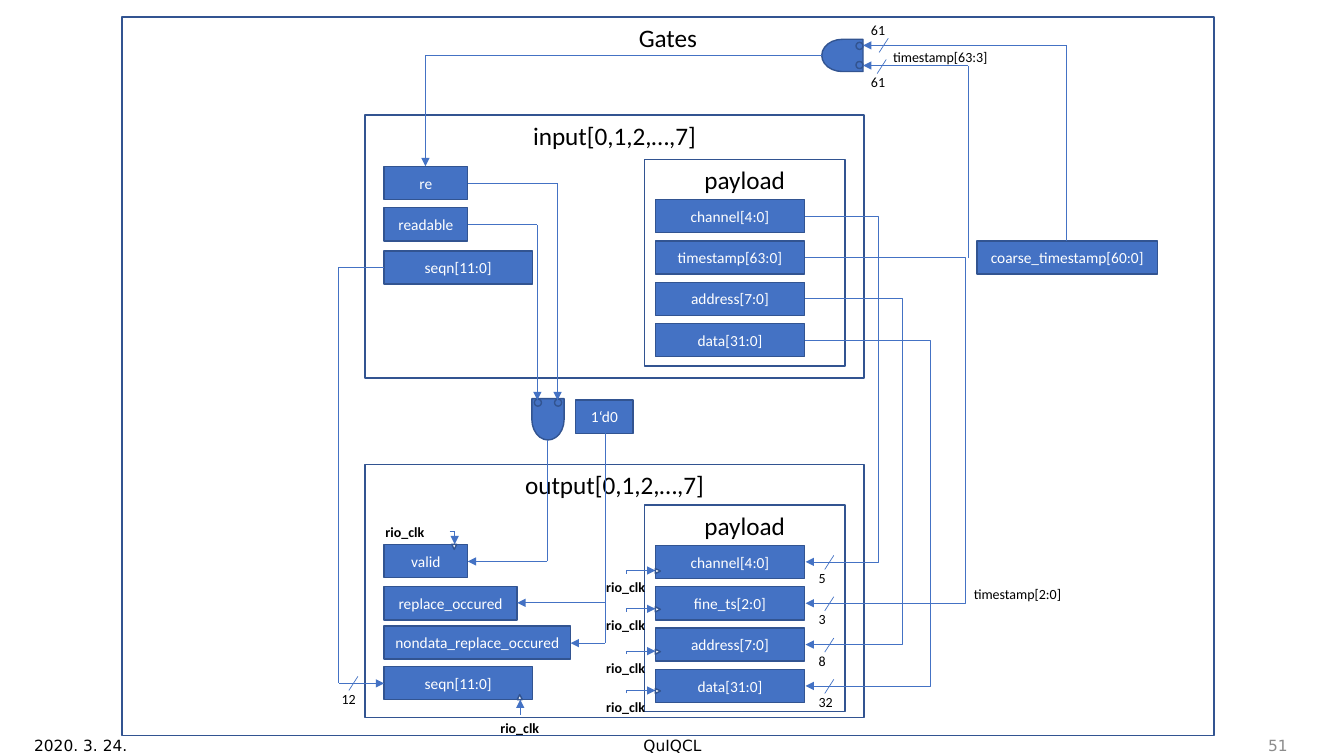
import pptx
import pptx.util
import pptx.dml.color
import pptx.enum.shapes
import pptx.enum.text
import pptx.oxml
import pptx.oxml.ns

KIND = pptx.enum.shapes.MSO_SHAPE
LINK = pptx.enum.shapes.MSO_CONNECTOR
ALIGN = pptx.enum.text.PP_ALIGN
ANCHOR = pptx.enum.text.MSO_ANCHOR
BLUE, EDGE, BLACK, WHITE, GREY = "4472C4", "325491", "000000", "FFFFFF", "8C8C8C"
NS = 'xmlns:a="http://schemas.openxmlformats.org/drawingml/2006/main"'
ROW, TALL = 0.41, 0.33  # register pitch and height
RIGHT = 3  # connection site on a register
inch = pptx.util.Inches


def tint(code):
    return pptx.dml.color.RGBColor.from_string(code)


def write(shape, text, size, color, align, anchor, bold=False, font="Calibri"):
    frame = shape.text_frame
    frame.text = text
    frame.vertical_anchor = anchor
    para = frame.paragraphs[0]
    para.alignment = align
    face = para.runs[0].font
    face.name, face.size, face.bold = font, pptx.util.Pt(size), bold
    face.color.rgb = tint(color)


def draw(slide, kind, box, fill=None, turn=0):
    shape = slide.shapes.add_shape(kind, *map(inch, box))
    shape.shadow.inherit = False
    shape.rotation = turn
    if fill:
        shape.fill.solid()
        shape.fill.fore_color.rgb = tint(fill)
    else:
        shape.fill.background()
    edge(shape)
    return shape


def edge(shape):
    shape.line.color.rgb = tint(EDGE)
    shape.line.width = pptx.util.Pt(1)


def cell(slide, text, x, y, wide):
    shape = draw(slide, KIND.RECTANGLE, (x, y, wide, TALL), BLUE)
    shape.text_frame.word_wrap = False
    write(shape, text, 11, WHITE, ALIGN.CENTER, ANCHOR.MIDDLE)
    return shape


def frame(slide, text, box):
    shape = draw(slide, KIND.RECTANGLE, box)
    write(shape, text, 18, BLACK, ALIGN.CENTER, ANCHOR.TOP)


def label(slide, text, box, size=10, color=BLACK, align=ALIGN.LEFT,
          anchor=ANCHOR.TOP, wrap=False, bold=False, font="Calibri"):
    shape = slide.shapes.add_textbox(*map(inch, box))
    shape.text_frame.word_wrap = wrap
    write(shape, text, size, color, align, anchor, bold, font)


def join(slide, kind, start, end):
    leg = slide.shapes.add_connector(kind, *map(inch, start + end))
    leg.line.color.rgb = tint(BLUE)
    leg.line.width = pptx.util.Pt(0.5)
    leg._element.spPr.append(pptx.oxml.parse_xml(f"<a:effectLst {NS}/>"))
    return leg


def point(leg):
    leg.line._get_or_add_ln().append(
        pptx.oxml.parse_xml(f'<a:tailEnd {NS} type="triangle"/>'))


def wire(slide, *points, arrow=True):
    """Join the points by straight legs, with an arrowhead on the last."""
    for start, end in zip(points, points[1:]):
        leg = join(slide, LINK.STRAIGHT, start, end)
    if arrow:
        point(leg)


def loop(slide, first, last, turn):
    """Elbow from the right of one register, out to turn, to another's."""
    leg = join(slide, LINK.ELBOW, (0, 0), (1, 1))
    leg.begin_connect(first, RIGHT)
    leg.end_connect(last, RIGHT)
    leg.end_x += inch(0.01)
    share = (inch(turn) - leg.begin_x) * 100000 // (leg.end_x - leg.begin_x)
    shape = leg._element.spPr.find(pptx.oxml.ns.qn("a:prstGeom"))
    shape.find(pptx.oxml.ns.qn("a:avLst")).append(pptx.oxml.parse_xml(
        f'<a:gd {NS} name="adj1" fmla="val {share}"/>'))
    point(leg)


def width(slide, text, x, y, place):
    """Slash across a bus, with its bit count."""
    wire(slide, (x + 0.09, y), (x, y + 0.14), arrow=False)
    label(slide, text, place + (0.19 + 0.08 * len(text), 0.27))


def clock(slide, place, tip, turn, *points):
    label(slide, "rio_clk", place + (0.89, 0.27), align=ALIGN.CENTER,
          wrap=True, bold=True)
    wire(slide, *points)
    draw(slide, KIND.ISOSCELES_TRIANGLE, tip + (0.05, 0.05), WHITE, turn)


def gate(slide, x, y, turn, pins):
    draw(slide, KIND.FLOWCHART_DELAY, (x, y, 0.41, 0.32), BLUE, turn)
    for left, top in pins:
        draw(slide, KIND.OVAL, (left, top, 0.07, 0.07), BLUE, turn)


def payload(slide, x, y, names):
    frame(slide, "payload", (x, y, 1.99, 2.05))
    return [cell(slide, name, x + 0.11, y + 0.4 + ROW * row, 1.48)
            for row, name in enumerate(names)]


def bank(slide, title, box, cells, names, drop):
    """Register bank: cells as (name, offset down, width), and a payload."""
    x, y = box[:2]
    frame(slide, title, box)
    for name, down, wide in cells:
        cell(slide, name, x + 0.19, y + down, wide)
    return payload(slide, x + 2.77, y + drop, names)


def buses(slide, source, sink):
    # Payload links from input to output
    for row, (turn, bits) in enumerate(
            [(8.72, "5"), (9.6, "3"), (8.97, "8"), (9.25, "32")]):
        loop(slide, source[row], sink[row], turn)
        low = 5.58 + ROW * row
        width(slide, bits, 8.18, low - 0.07, (8.02, low + 0.02))
    # Sequence number
    wire(slide, (3.81, 2.65), (3.36, 2.65), (3.36, 6.78), (3.81, 6.78))
    width(slide, "12", 3.46, 6.71, (3.29, 6.8))
    # Timestamp comparison
    wire(slide, (9.6, 2.56), (9.6, 0.65), (8.56, 0.65))
    wire(slide, (10.58, 2.39), (10.58, 0.45), (8.56, 0.45))
    width(slide, "61", 8.7, 0.59, (8.54, 0.68))
    width(slide, "61", 8.72, 0.38, (8.54, 0.16))
    label(slide, "timestamp[63:3]", (8.76, 0.43, 1.16, 0.27))
    label(slide, "timestamp[2:0]", (9.56, 5.76, 1.09, 0.27))


def logic(slide):
    gate(slide, 8.15, 0.39, 180, [(8.49, 0.42), (8.49, 0.61)])
    gate(slide, 5.23, 4, 90, [(5.3, 3.96), (5.5, 3.96)])
    cell(slide, "coarse_timestamp[60:0]", 9.69, 2.39, 1.79)
    cell(slide, "1‘d0", 5.71, 3.97, 0.57)
    for path in [
            ((4.64, 2.23), (5.33, 2.23), (5.33, 3.97)),
            ((4.64, 1.82), (5.53, 1.82), (5.53, 3.97)),
            ((8.15, 0.55), (4.22, 0.55), (4.22, 1.65)),
            ((5.43, 4.37), (5.43, 5.57), (4.64, 5.57)),
            ((6, 4.3), (6, 5.98), (5.13, 5.98)),
            ((6, 5.98), (6, 6.38), (5.66, 6.38))]:
        wire(slide, *path)


def clocks(slide):
    for y in (5.69, 6.07, 6.49, 6.88):
        clock(slide, (5.76, y), (6.5, y - 0.05), 90,
              (6.21, y), (6.21, y - 0.03), (6.5, y - 0.03))
    clock(slide, (3.57, 5.14), (4.48, 5.4), 180,
          (4.46, 5.27), (4.51, 5.27), (4.51, 5.4))
    clock(slide, (4.71, 7.09), (5.13, 6.89), 0, (5.16, 7.09), (5.16, 6.94))


def footer(slide):
    for text, x, wide, color, align in [
            ("2020. 3. 24.", 0.24, 3, BLACK, ALIGN.LEFT),
            ("QuIQCL", 4.42, 4.5, BLACK, ALIGN.CENTER),
            ("51", 9.87, 3, GREY, ALIGN.RIGHT)]:
        label(slide, text, (x, 7.19, wide, 0.4), 11, color, align,
              ANCHOR.MIDDLE, True, font="DejaVu Sans")


def main():
    deck = pptx.Presentation()
    deck.slide_width, deck.slide_height = inch(13.33), inch(7.5)
    slide = deck.slides.add_slide(deck.slide_layouts[5])
    # Title doubles as the outer frame
    title = slide.shapes.title
    title.left, title.top, title.width, title.height = map(
        inch, (1.21, 0.17, 10.83, 7.13))
    write(title, "Gates", 18, BLACK, ALIGN.CENTER, ANCHOR.TOP)
    title.text_frame.auto_size = pptx.enum.text.MSO_AUTO_SIZE.NONE
    edge(title)
    # Register banks
    source = bank(
        slide, "input[0,1,2,…,7]", (3.62, 1.14, 4.95, 2.61),
        [("re", 0.51, 0.83), ("readable", 0.92, 0.83), ("seqn[11:0]", 1.35, 1.47)],
        ["channel[4:0]", "timestamp[63:0]", "address[7:0]", "data[31:0]"], 0.44)
    sink = bank(
        slide, "output[0,1,2,…,7]", (3.62, 4.61, 4.95, 2.51),
        [("valid", 0.79, 0.83), ("replace_occured", 1.21, 1.32),
         ("nondata_replace_occured", 1.6, 1.85), ("seqn[11:0]", 2, 1.47)],
        ["channel[4:0]", "fine_ts[2:0]", "address[7:0]", "data[31:0]"], 0.4)
    # Wiring
    logic(slide)
    buses(slide, source, sink)
    clocks(slide)
    footer(slide)
    deck.save("out.pptx")


if __name__ == "__main__":
    main()
